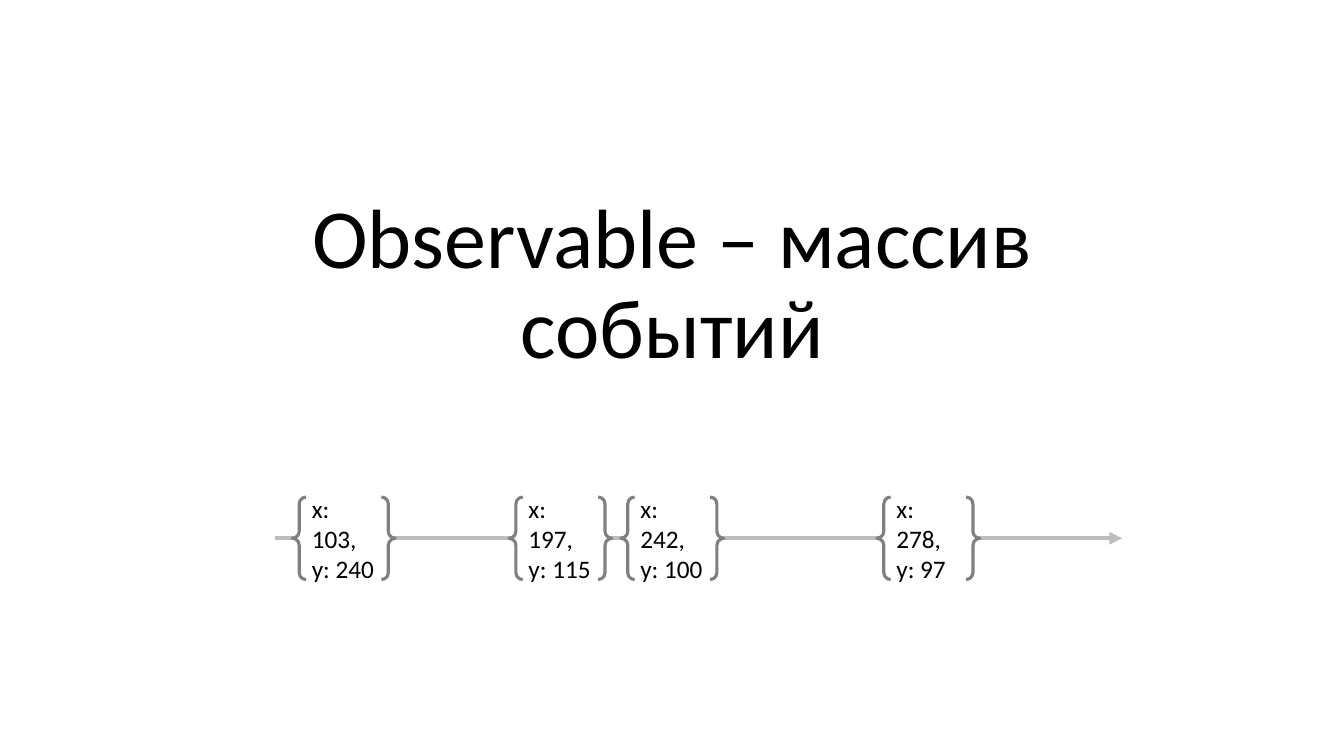
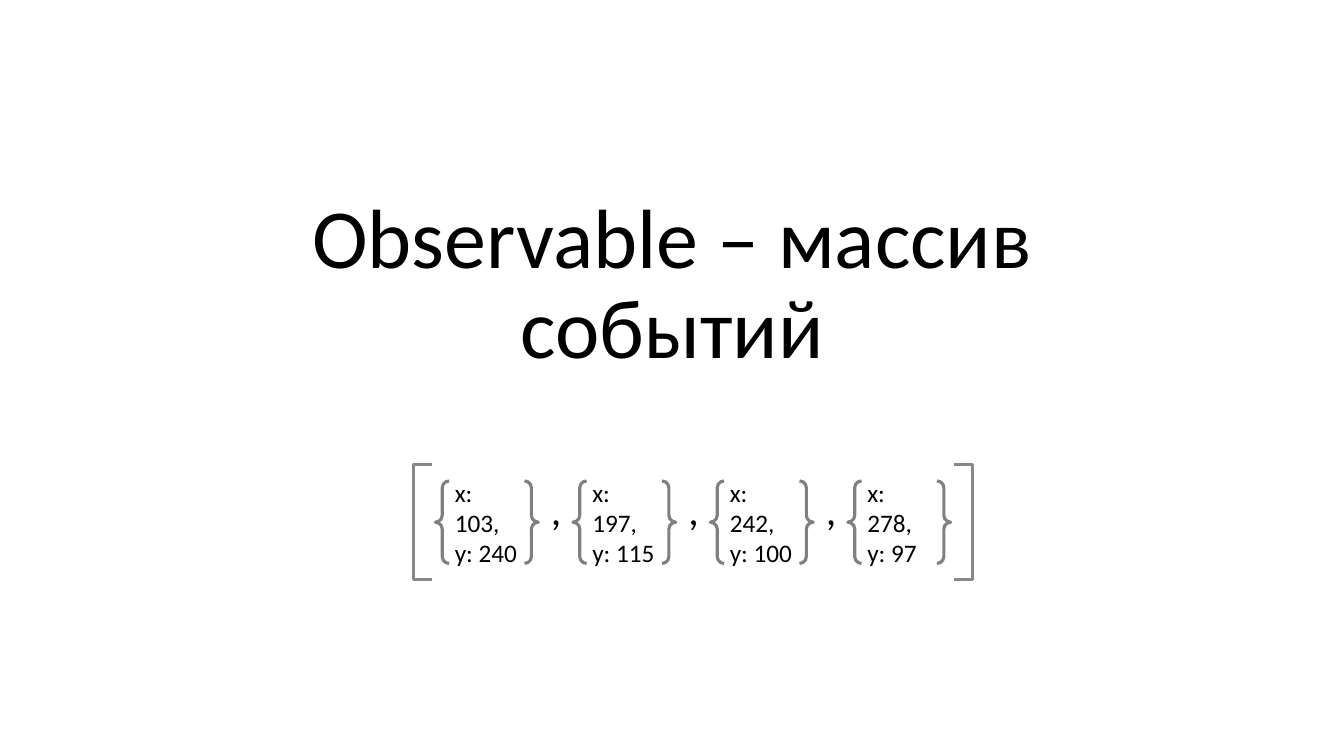
"""Builds two slides that show an Observable as a timeline and as an array of events."""
from lxml import etree
from pptx import Presentation
from pptx.dml.color import RGBColor
from pptx.enum import shapes, text
from pptx.oxml import ns
from pptx.util import Pt

COLORS = {"text": "000000", "paper": "FFFFFF", "brace": "808080",
          "bracket": "888888", "timeline": "BBBDC1"}
FONT = "Calibri"
TITLE = "Observable – массив событий"
EVENTS = [(103, 240), (197, 115), (242, 100), (278, 97)]
BRACE_W, BRACE_H = 73.5, 59
TIMELINE_Y = 384.5
ARRAY_LEFT, ARRAY_STEP, ARRAY_TOP = 311, 98.2, 343.5
BRACKET_W, BRACKET_H = 13.7, 82


def write(box, content, size=18, align=text.PP_ALIGN.LEFT,
          anchor=text.MSO_ANCHOR.MIDDLE, spacing=None, inset=7.2):
    frame = box.text_frame
    frame.word_wrap = True
    frame.auto_size = text.MSO_AUTO_SIZE.NONE
    frame.vertical_anchor = anchor
    frame.margin_left = frame.margin_right = Pt(inset)
    frame.margin_top = frame.margin_bottom = Pt(inset)
    frame.text = content
    for paragraph in frame.paragraphs:
        paragraph.alignment = align
        paragraph.line_spacing = spacing
        font = paragraph.runs[0].font
        font.name, font.size = FONT, Pt(size)
        font.color.rgb = RGBColor.from_string(COLORS["text"])


def outline(slide, preset, left, top, width, height, color, fill=None):
    shape = slide.shapes.add_shape(preset, Pt(left), Pt(top), Pt(width), Pt(height))
    shape.shadow.inherit = False
    shape.line.color.rgb = RGBColor.from_string(COLORS[color])
    shape.line.width = Pt(2.25)
    if fill:
        shape.fill.solid()
        shape.fill.fore_color.rgb = RGBColor.from_string(COLORS[fill])
    else:
        shape.fill.background()
    return shape


deck = Presentation()
deck.slide_width, deck.slide_height = Pt(960), Pt(540)
stream, array = [deck.slides.add_slide(deck.slide_layouts[5]) for _ in range(2)]

for slide in (stream, array):
    title = slide.shapes.title
    title.left, title.top, title.width, title.height = Pt(120), Pt(88.5), Pt(720), Pt(188)
    write(title, TITLE, size=60, align=text.PP_ALIGN.CENTER,
          anchor=text.MSO_ANCHOR.BOTTOM, spacing=0.9)

timeline = stream.shapes.add_connector(
    shapes.MSO_CONNECTOR.STRAIGHT, Pt(196.5), Pt(TIMELINE_Y), Pt(801.5), Pt(TIMELINE_Y))
timeline.line.color.rgb = RGBColor.from_string(COLORS["timeline"])
timeline.line.width = Pt(3)
etree.SubElement(timeline.line._get_or_add_ln(), ns.qn("a:tailEnd"), type="triangle")
etree.SubElement(timeline._element.spPr, ns.qn("a:effectLst"))

stream_lefts = [208.8, 363.6, 443.5, 626.4]
array_lefts = [ARRAY_LEFT + i * ARRAY_STEP for i in range(len(EVENTS))]
for slide, lefts, top in ((stream, stream_lefts, TIMELINE_Y - BRACE_H / 2),
                          (array, array_lefts, ARRAY_TOP)):
    for left, (x, y) in zip(lefts, EVENTS):
        outline(slide, shapes.MSO_SHAPE.DOUBLE_BRACE, left, top,
                BRACE_W, BRACE_H, "brace", fill="paper")
        event = slide.shapes.add_textbox(Pt(left + 6.8), Pt(top), Pt(60), Pt(BRACE_H))
        write(event, f"x: {x},\ny: {y}")

for left in array_lefts[:-1]:
    comma = array.shapes.add_textbox(Pt(left + BRACE_W + 0.5), Pt(340), Pt(24.5), Pt(46.8))
    write(comma, ",", size=30, align=text.PP_ALIGN.CENTER)

for left, rotation in ((295.2, 0), (681.1, 180)):
    bracket = outline(array, shapes.MSO_SHAPE.LEFT_BRACKET, left, 332,
                      BRACKET_W, BRACKET_H, "bracket")
    bracket.adjustments[0] = 0
    bracket.rotation = rotation

deck.save("out.pptx")
